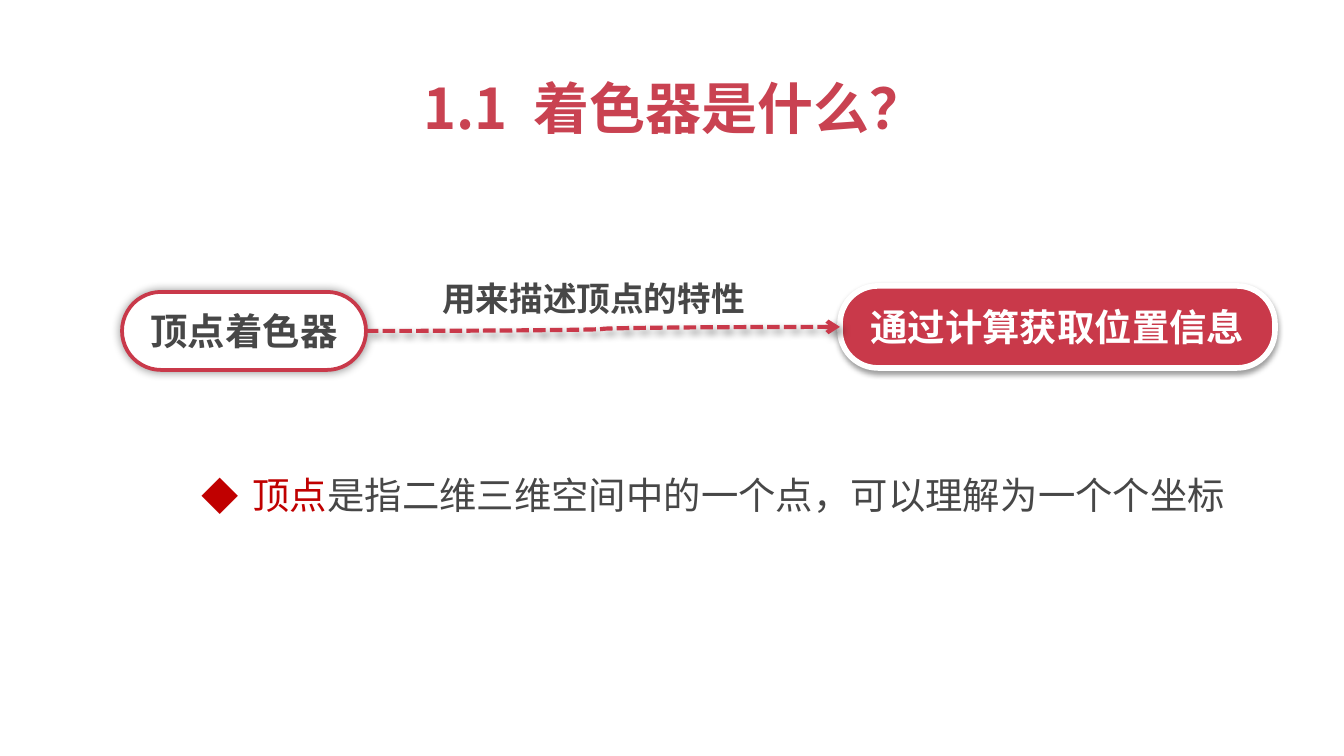
from lxml import etree
from pptx import Presentation, util as u
from pptx.dml.color import RGBColor
from pptx.enum import dml, shapes, text
from pptx.oxml import parse_xml
from pptx.oxml.ns import nsdecls, qn

RED = RGBColor(0xC9, 0x39, 0x4A)
TITLE_RED = RGBColor(0xC9, 0x42, 0x51)
DEEP_RED = RGBColor(0xC0, 0x00, 0x00)
GREY = RGBColor(0x47, 0x47, 0x47)
WHITE = RGBColor(0xFF, 0xFF, 0xFF)
FONT = "Noto Sans CJK SC"
PX = 914400 / 134.4

# Content: boxes are left, top, width, height in px
TITLE = ["1.1", " ", "着色器是什么？"]
TITLE_BOX = (410, 67, 523, 82)
LABEL = "用来描述顶点的特性"
LABEL_BOX = (429, 271, 351, 54)
NOTE = [("顶点", DEEP_RED), ("是指⼆维三维空间中的⼀个点，可以理解为一个个坐标", GREY)]
NOTE_BOX = (121, 465, 1224, 59)
# Shadows: opacity %, blur pt, distance pt, direction in degrees
PILLS = [
    dict(words="通过计算获取位置信息", box=(840, 286, 435, 82), round=0.461, fill=RED,
         line=WHITE, width=3, color=WHITE, shadow=(38, 3.1, 1.6, 90)),
    dict(words="顶点着色器", box=(122, 292, 244, 78), round=0.5, fill=WHITE,
         line=RED, width=2, color=GREY, shadow=(40, 5, 0, 0)),
]
ARROW_SHADOW = (40, 4, 3, 45)


def emu(box):
    return [u.Emu(round(v * PX)) for v in box]


def add_run(p, words, size=20, color=GREY, bold=False):
    r = p.add_run()
    r.text = words
    r.font.size, r.font.bold, r.font.name = u.Pt(size), bold, FONT
    r.font.color.rgb = color
    etree.SubElement(r.font._element, qn("a:ea")).set("typeface", FONT)
    return r


def add_box(s, box, anchor=text.MSO_ANCHOR.TOP):
    tf = s.shapes.add_textbox(*emu(box)).text_frame
    tf.word_wrap = True
    tf.auto_size = text.MSO_AUTO_SIZE.SHAPE_TO_FIT_TEXT
    tf.vertical_anchor = anchor
    return tf.paragraphs[0]


def add_shadow(sp, alpha, blur, dist, angle):
    spPr = sp._element.spPr
    for old in spPr.findall(qn("a:effectLst")):
        spPr.remove(old)
    spPr.append(parse_xml(
        f'<a:effectLst {nsdecls("a")}><a:outerShdw blurRad="{u.Pt(blur)}" dist="{u.Pt(dist)}" '
        f'dir="{angle * 60000}" rotWithShape="0"><a:srgbClr val="000000">'
        f'<a:alpha val="{alpha * 1000}"/></a:srgbClr></a:outerShdw></a:effectLst>'))


def add_pill(s, pill):
    sp = s.shapes.add_shape(shapes.MSO_SHAPE.ROUNDED_RECTANGLE, *emu(pill["box"]))
    sp.adjustments[0] = pill["round"]
    sp.fill.solid()
    sp.fill.fore_color.rgb = pill["fill"]
    sp.line.color.rgb = pill["line"]
    sp.line.width = u.Pt(pill["width"])
    add_shadow(sp, *pill["shadow"])
    tf = sp.text_frame
    tf.word_wrap = True
    tf.vertical_anchor = text.MSO_ANCHOR.MIDDLE
    p = tf.paragraphs[0]
    p.alignment = text.PP_ALIGN.CENTER
    add_run(p, pill["words"], color=pill["color"], bold=True)
    return sp


def main():
    prs = Presentation()
    prs.slide_width, prs.slide_height = emu((1344, 756))
    s = prs.slides.add_slide(prs.slide_layouts[6])

    # Title, with a widened space after the number
    p = add_box(s, TITLE_BOX)
    number, gap, words = [add_run(p, t, size=30, color=TITLE_RED, bold=True) for t in TITLE]
    gap.font._element.set("spc", "700")

    # Pills joined by a dashed arrow
    result, shader = [add_pill(s, pill) for pill in PILLS]
    arrow = s.shapes.add_connector(shapes.MSO_CONNECTOR.CURVE, 0, 0, 0, 0)
    arrow.begin_connect(shader, 3)
    arrow.end_connect(result, 1)
    arrow.line.color.rgb = RED
    arrow.line.width = u.Pt(2.25)
    arrow.line.dash_style = dml.MSO_LINE.SQUARE_DOT
    etree.SubElement(arrow.line._get_or_add_ln(), qn("a:tailEnd")).set("type", "arrow")
    add_shadow(arrow, *ARROW_SHADOW)
    add_run(add_box(s, LABEL_BOX), LABEL, size=18, bold=True)

    # Bulleted note
    p = add_box(s, NOTE_BOX, text.MSO_ANCHOR.MIDDLE)
    p.level = 1
    pPr = p._p.get_or_add_pPr()
    pPr.set("marL", str(u.Inches(0.88)))
    pPr.set("indent", str(u.Inches(-0.38)))
    color = etree.SubElement(pPr, qn("a:buClr"))
    etree.SubElement(color, qn("a:srgbClr")).set("val", str(DEEP_RED))
    etree.SubElement(pPr, qn("a:buFont")).set("typeface", FONT)
    etree.SubElement(pPr, qn("a:buChar")).set("char", "◆")
    for words, color in NOTE:
        add_run(p, words, color=color)

    prs.save("out.pptx")


if __name__ == "__main__":
    main()
